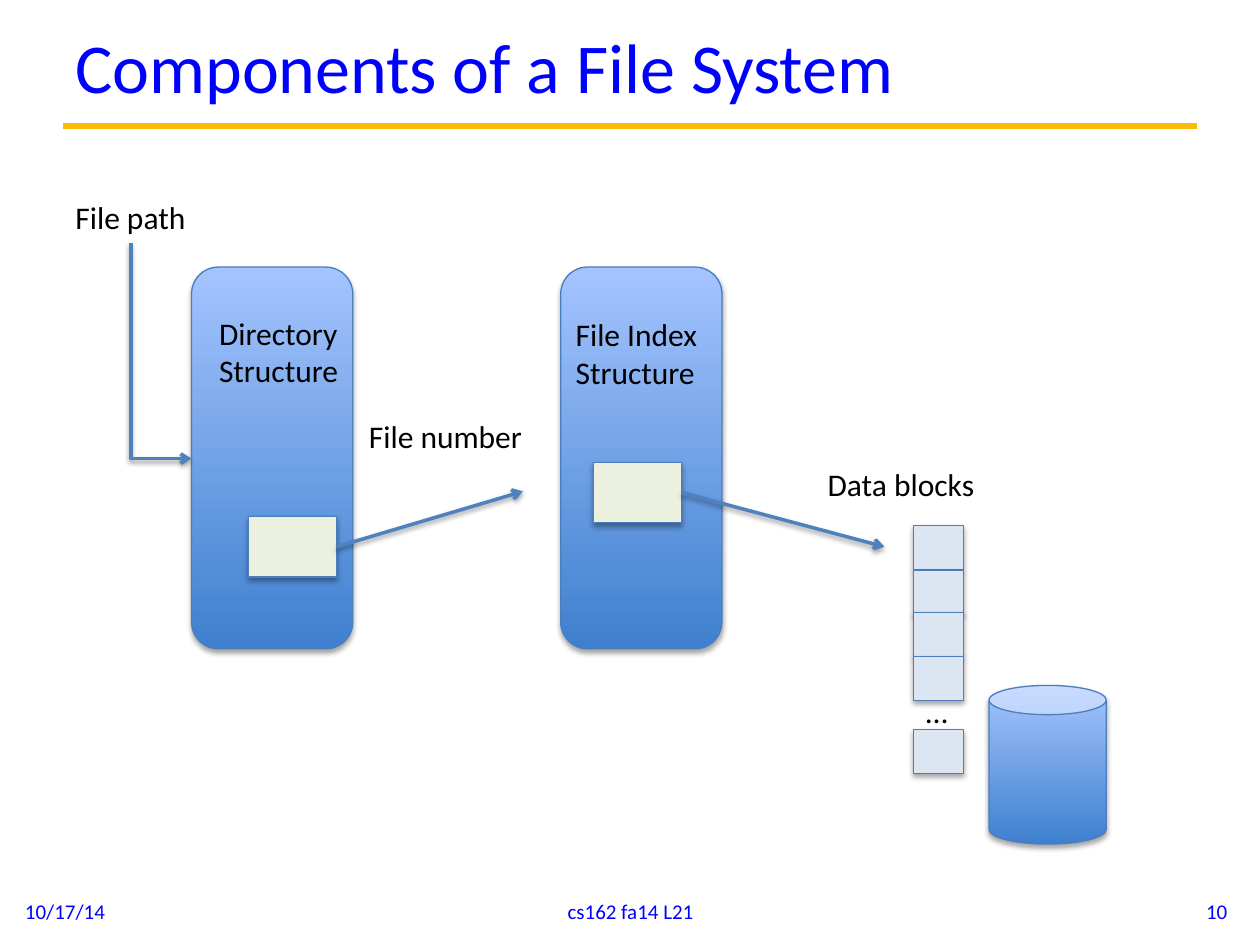
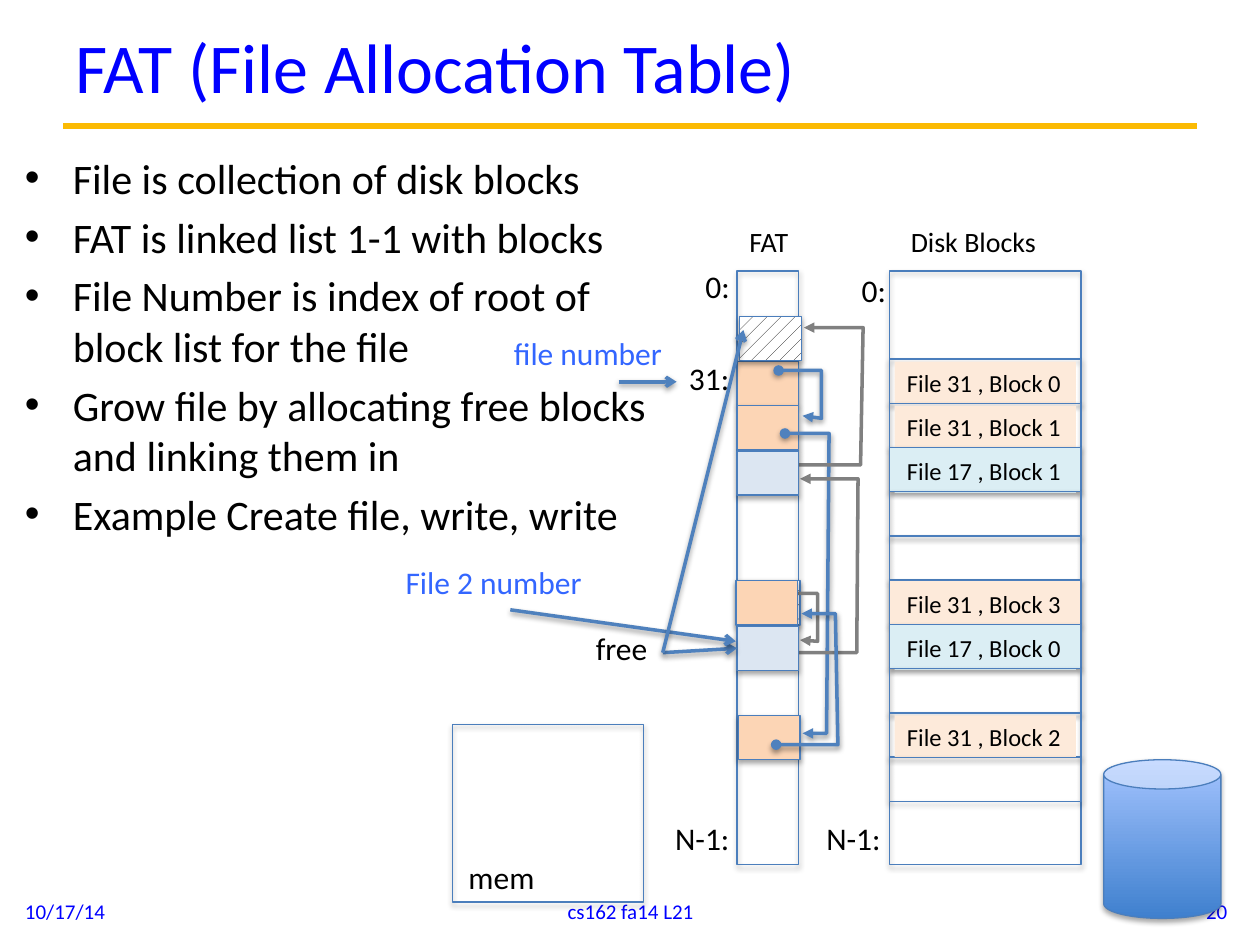
from dataclasses import dataclass

from lxml import etree
from pptx import Presentation
from pptx import util as u
from pptx.dml.color import RGBColor
from pptx.enum import dml, shapes, text
from pptx.oxml.ns import qn

RECT = shapes.MSO_SHAPE.RECTANGLE
ROUND = shapes.MSO_SHAPE.ROUNDED_RECTANGLE
CAN = shapes.MSO_SHAPE.CAN
ALIGN = text.PP_ALIGN


@dataclass(frozen=True)
class Theme:
    font: str = "Calibri"
    title: str = "0000FF"
    rule: str = "FBBA03"
    ink: str = "000000"
    paper: str = "FFFFFF"
    note: str = "3366FF"
    edge: str = "4B7EBC"
    arrow: str = "4F81BD"
    grey: str = "808080"
    grad: tuple = ("3F80CE", "A4C4FF")
    entry: str = "EBF1DE"
    block: str = "DCE6F2"
    orange: str = "FCD5B5"
    peach: str = "FDEADA"
    aqua: str = "DBEEF4"
    title_size: int = 40
    body_size: int = 24
    label_size: int = 18
    head_size: int = 16
    row_size: int = 14
    foot_size: int = 12


T = Theme()
GRADIENT, HATCH = "gradient", "hatch"

# Shared footer: date and course
DATE, COURSE = "10/17/14", "cs162 fa14 L21"

# Slide 1
COMPONENTS = {
    "title": "Components of a File System",
    "number": "10",
    "labels": [
        (0.5, 1.52, 1.09, "File path"),
        (1.64, 2.44, 1.16, "Directory\nStructure"),
        (4.47, 2.45, 1.18, "File Index\nStructure"),
        (2.83, 3.26, 1.43, "File number"),
        (6.47, 3.64, 1.38, "Data blocks"),
        (7.25, 5.44, 0.38, "…"),
    ],
    "structure_lefts": (1.52, 4.45),
    "entries": [  # left, top, arrow end
        (1.97, 4.1, (4.15, 3.9)),
        (4.71, 3.67, (7.02, 4.34)),
    ],
    "block_tops": (4.17, 4.53, 4.86, 5.21, 5.79),
}

# Slide 2
FAT = {
    "title": "FAT (File Allocation Table)",
    "number": "20",
    "bullets": [
        "File is collection of disk blocks",
        "FAT is linked list 1-1 with blocks",
        "File Number is index of root of block list for the file",
        "Grow file by allocating free blocks and linking them in",
        "Example Create file, write, write",
    ],
    "heads": [(7.13, 1.73, 1.21, "Disk Blocks"), (5.85, 1.73, 0.54, "FAT")],
    "labels": [
        (6.46, 6.45, 0.64, "N-1:"),
        (6.74, 2.1, 0.4, "0:"),
        (5.5, 2.07, 0.4, "0:"),
        (5.26, 6.45, 0.64, "N-1:"),
        (5.37, 2.8, 0.53, "31:"),
        (3.62, 6.76, 0.73, "mem"),
        (4.63, 4.94, 0.62, "free"),
    ],
    "notes": [(3.98, 2.6, 1.39, "file number"), (3.12, 4.42, 1.61, "File 2 number")],
    "frames": [(7.06, 2.15, 1.52, 4.71), (5.85, 2.15, 0.49, 4.71), (3.59, 5.75, 1.52, 1.41)],
    "rows": [  # label, label fill, row fill
        ("File 31 , Block 0", T.peach, None),
        ("File 31 , Block 1", T.peach, None),
        ("File 17 , Block 1", T.aqua, T.aqua),
        None,
        None,
        ("File 31 , Block 3", T.peach, T.peach),
        ("File 17 , Block 0", T.aqua, T.aqua),
        None,
        ("File 31 , Block 2", T.peach, None),
        None,
    ],
    "lower_cells": [
        (5.85, 2.87, T.orange),
        (5.85, 3.22, T.orange),
        (5.86, 5.68, T.orange),
        (5.87, 2.51, HATCH),
        (5.86, 4.61, HATCH),
    ],
    "file_links": [
        [(6.18, 2.94), (6.52, 2.94), (6.52, 3.32), (6.37, 3.3)],
        [(6.23, 3.44), (6.58, 3.44), (6.56, 5.82), (6.37, 5.82)],
    ],
    "free_links": [
        ("oval", [(6.16, 4.71), (6.49, 4.71), (6.49, 5.09), (6.35, 5.08)]),
        ("diamond", [(6.2, 5.18), (6.8, 5.18), (6.81, 3.8), (6.35, 3.8)]),
        ("diamond", [(6.23, 3.69), (6.83, 3.69), (6.85, 2.6), (6.38, 2.6)]),
    ],
    "upper_cells": [(5.84, 4.61, T.orange), (5.85, 3.58, T.block)],
    "free_cell": (5.85, 4.97, T.block),
    "last_link": [(6.16, 5.91), (6.65, 5.91), (6.63, 4.87), (6.36, 4.87)],
    "arrows": [
        ((4.91, 3.03), (5.37, 3.03)),
        ((4.05, 4.84), (5.84, 5.09)),
        ((5.26, 5.18), (5.9, 2.62)),
    ],
}


def rgb(value):
    return RGBColor.from_string(value)


def inches(*values):
    return [u.Inches(v) for v in values]


def set_effects(sp, shadow_alpha=None, dist=1.8):
    """Replace the theme shadow by a soft drop shadow, or by none."""
    effects = etree.SubElement(sp._element.spPr, qn("a:effectLst"))
    if shadow_alpha:
        outer = etree.SubElement(effects, qn("a:outerShdw"), blurRad=str(u.Pt(3.1)),
                                 dist=str(u.Pt(dist)), dir="5400000", rotWithShape="0")
        color = etree.SubElement(outer, qn("a:srgbClr"), val=T.ink)
        etree.SubElement(color, qn("a:alpha"), val=str(shadow_alpha * 1000))


def set_line(sp, color, width, head=None, tail=None):
    sp.line.color.rgb = rgb(color)
    sp.line.width = u.Pt(width)
    ln = sp._element.spPr.find(qn("a:ln"))
    for tag, kind in (("a:headEnd", head), ("a:tailEnd", tail)):
        if kind:
            etree.SubElement(ln, qn(tag), type=kind)


def set_fill(sp, fill):
    if fill is None:
        sp.fill.background()
    elif fill == GRADIENT:
        sp.fill.gradient()
        sp.fill.gradient_angle = 90
        for stop, color, place in zip(sp.fill.gradient_stops, T.grad, (0, 1)):
            stop.color.rgb, stop.position = rgb(color), place
    elif fill == HATCH:
        sp.fill.patterned()
        sp.fill.pattern = dml.MSO_PATTERN.PERCENT_10
        sp.fill.fore_color.rgb, sp.fill.back_color.rgb = rgb(T.ink), rgb(T.paper)
    else:
        sp.fill.solid()
        sp.fill.fore_color.rgb = rgb(fill)


def add_box(slide, x, y, w, h, fill=None, kind=RECT):
    sp = slide.shapes.add_shape(kind, *inches(x, y, w, h))
    set_fill(sp, fill)
    set_line(sp, T.edge, 0.75)
    set_effects(sp, 35)
    return sp


def set_bullet(p):
    pPr = p._p.get_or_add_pPr()
    pPr.set("marL", str(u.Inches(0.38)))
    pPr.set("indent", str(-u.Inches(0.38)))
    before = etree.SubElement(pPr, qn("a:spcBef"))
    etree.SubElement(before, qn("a:spcPct"), val="20000")
    etree.SubElement(pPr, qn("a:buFont"), typeface="Arial")
    etree.SubElement(pPr, qn("a:buChar"), char="•")


def add_text(slide, x, y, w, h, content, size=T.label_size, color=T.ink, fill=None,
             align=ALIGN.LEFT, anchor=text.MSO_ANCHOR.TOP, wrap=False, bullets=False):
    sp = slide.shapes.add_textbox(*inches(x, y, w, h))
    if fill:
        set_fill(sp, fill)
    tf = sp.text_frame
    tf.word_wrap, tf.vertical_anchor = wrap, anchor
    tf.auto_size = text.MSO_AUTO_SIZE.NONE if wrap else text.MSO_AUTO_SIZE.SHAPE_TO_FIT_TEXT
    for i, line in enumerate(content.split("\n")):
        p = tf.add_paragraph() if i else tf.paragraphs[0]
        p.alignment = align
        if bullets:
            set_bullet(p)
        r = p.add_run()
        r.text = line
        r.font.name, r.font.size, r.font.color.rgb = T.font, u.Pt(size), rgb(color)
    return sp


def add_labels(slide, labels, **fmt):
    for x, y, w, content in labels:
        add_text(slide, x, y, w, 0.4 + 0.31 * content.count("\n"), content, **fmt)


def add_arrow(slide, start, end, begin_at=None, end_at=None, kind=shapes.MSO_CONNECTOR.STRAIGHT):
    """Draw an arrow; begin_at leaves a right side, end_at meets a left side."""
    c = slide.shapes.add_connector(kind, *inches(*start, *end))
    if begin_at:
        c.begin_connect(begin_at, 3)
    if end_at:
        c.end_connect(end_at, 1)
    set_line(c, T.arrow, 2, tail="arrow")
    set_effects(c, 38, 1.6)
    return c


def add_down_right_arrow(slide, start, end, end_at):
    """Arrow with one corner: a two-part elbow turned by 270 degrees."""
    c = add_arrow(slide, start, end, end_at=end_at, kind=shapes.MSO_CONNECTOR.ELBOW)
    (x0, y0), (x1, y1) = start, end
    w, h = y1 - y0, x1 - x0
    c.left, c.top, c.width, c.height = inches((x0 + x1 - w) / 2, (y0 + y1 - h) / 2, w, h)
    spPr = c._element.spPr
    xfrm = spPr.find(qn("a:xfrm"))
    xfrm.set("rot", "16200000")
    xfrm.set("flipH", "1")
    spPr.find(qn("a:prstGeom")).set("prst", "bentConnector2")


def add_link(slide, points, color=T.arrow, head="oval", shadow=38):
    start, *rest = [inches(*point) for point in points]
    builder = slide.shapes.build_freeform(*start)
    builder.add_line_segments(rest, close=False)
    sp = builder.convert_to_shape()
    set_fill(sp, None)
    set_line(sp, color, 2, head, "triangle")
    set_effects(sp, shadow, 1.6)


def add_base(prs, title, number):
    """New slide with title, rule and footer."""
    slide = prs.slides.add_slide(prs.slide_layouts[6])
    rule = slide.shapes.add_connector(shapes.MSO_CONNECTOR.STRAIGHT, *inches(0.5, 1, 9.5, 1))
    set_line(rule, T.rule, 3.75)
    set_effects(rule)
    fmt = dict(color=T.title, anchor=text.MSO_ANCHOR.MIDDLE, wrap=True)
    add_text(slide, 0.5, 0.04, 9, 0.96, title, size=T.title_size, **fmt)
    for x, w, content, align in ((0.1, 2.33, DATE, ALIGN.LEFT), (3.42, 3.17, COURSE, ALIGN.CENTER),
                                 (7.51, 2.33, number, ALIGN.RIGHT)):
        add_text(slide, x, 7.03, w, 0.4, content, size=T.foot_size, align=align, **fmt)
    return slide


def add_disk(slide, x, y):
    add_box(slide, x, y, 0.93, 1.26, GRADIENT, CAN)


def build_components(prs, d):
    slide = add_base(prs, d["title"], d["number"])
    directory, _ = [add_box(slide, x, 2.12, 1.28, 3.03, GRADIENT, ROUND)
                    for x in d["structure_lefts"]]
    add_down_right_arrow(slide, (1.04, 1.93), (1.52, 3.64), directory)
    for x, y, end in d["entries"]:
        entry = add_box(slide, x, y, 0.7, 0.48, T.entry)
        add_arrow(slide, (x + 0.7, y + 0.24), end, begin_at=entry)
    add_disk(slide, 7.85, 5.44)
    for y in d["block_tops"]:
        add_box(slide, 7.25, y, 0.4, 0.35, T.block)
    add_labels(slide, d["labels"])


def build_fat(prs, d):
    slide = add_base(prs, d["title"], d["number"])
    add_text(slide, 0.1, 1.16, 5.16, 5.46, "\n".join(d["bullets"]), size=T.body_size,
             wrap=True, bullets=True)
    for frame in d["frames"]:
        add_box(slide, *frame)
    pitch = (6.01 - 2.85) / (len(d["rows"]) - 1)
    for i, row in enumerate(d["rows"]):
        y = 2.85 + i * pitch
        label, label_fill, row_fill = row or (None, None, None)
        add_box(slide, 7.06, y, 1.52, 0.35, row_fill)
        if label:
            add_text(slide, 7.1, y + 0.02, 1.44, 0.34, label, size=T.row_size, fill=label_fill)

    def add_cell(x, y, fill):
        return add_box(slide, x, y, 0.49, 0.35, fill)

    for cell in d["lower_cells"]:
        add_cell(*cell)
    for points in d["file_links"]:
        add_link(slide, points)
    for head, points in d["free_links"]:
        add_link(slide, points, T.grey, head, shadow=None)
    for cell in d["upper_cells"]:
        add_cell(*cell)
    free_cell = add_cell(*d["free_cell"])
    add_link(slide, d["last_link"])
    add_arrow(slide, (5.26, 5.18), (5.85, 5.14), end_at=free_cell)
    for start, end in d["arrows"]:
        add_arrow(slide, start, end)
    add_disk(slide, 8.76, 6.03)
    add_labels(slide, d["heads"], size=T.head_size)
    add_labels(slide, d["labels"])
    add_labels(slide, d["notes"], color=T.note)


def main():
    prs = Presentation()
    prs.slide_width, prs.slide_height = inches(10, 7.5)
    build_components(prs, COMPONENTS)
    build_fat(prs, FAT)
    prs.save("out.pptx")


if __name__ == "__main__":
    main()
